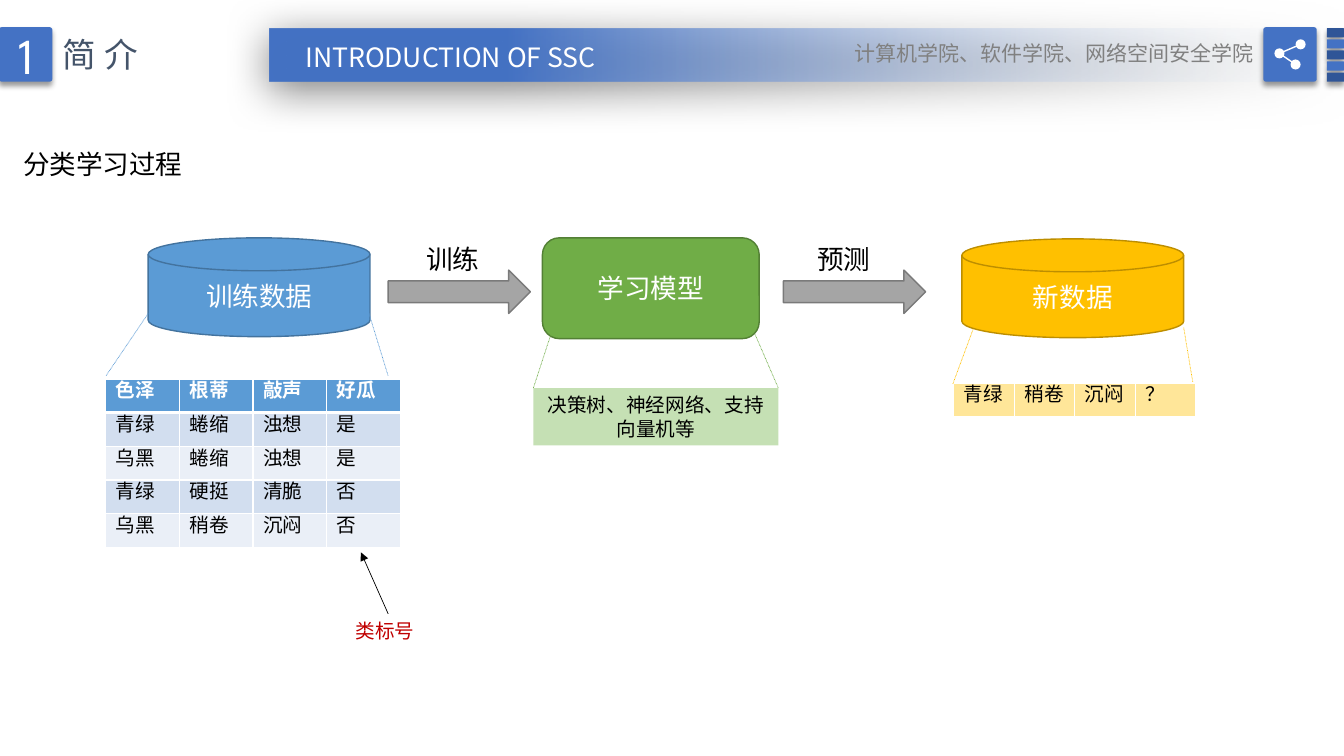
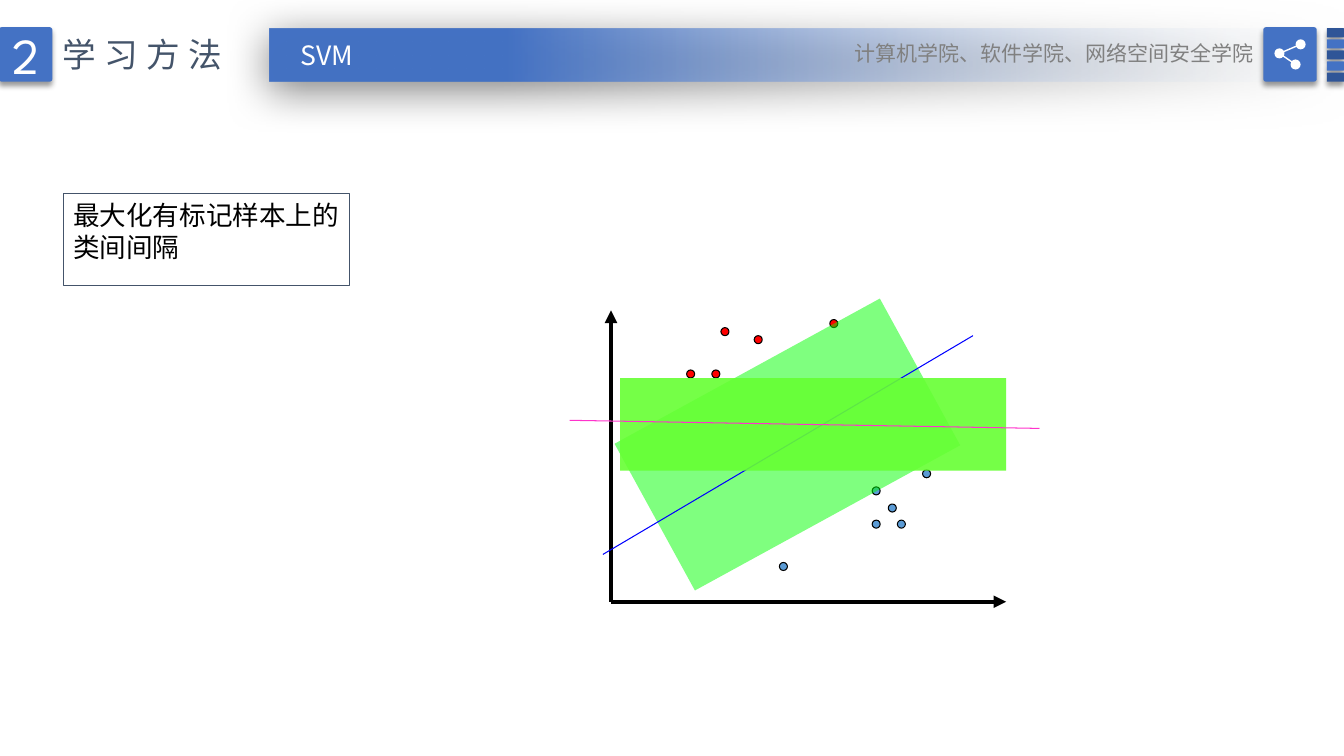
import dataclasses

import lxml.etree
import pptx
import pptx.dml.color
import pptx.enum.dml
import pptx.enum.shapes
import pptx.enum.text
import pptx.oxml.ns
import pptx.util

Inches = pptx.util.Inches
Pt = pptx.util.Pt
SHAPE = pptx.enum.shapes.MSO_SHAPE
ALIGN = pptx.enum.text.PP_ALIGN
ANCHOR = pptx.enum.text.MSO_ANCHOR
qn = pptx.oxml.ns.qn


@dataclasses.dataclass(frozen=True)
class Theme:
    """Colours, fonts and type sizes of the deck."""
    white: str = "FFFFFF"
    black: str = "000000"
    accent: str = "4472C4"
    accent_dark: str = "2F5597"
    band_end: str = "F7FAFD"
    slate: str = "44546A"
    grey: str = "808080"
    blue: str = "5B9BD5"
    blue_edge: str = "43739E"
    row_dark: str = "D2DEEF"
    row_light: str = "EAEFF7"
    green: str = "70AD47"
    green_edge: str = "538035"
    green_pale: str = "C5E0B4"
    gold: str = "FFC000"
    gold_edge: str = "BD8E00"
    gold_pale: str = "FFE699"
    arrow: str = "A5A5A5"
    arrow_edge: str = "7A7A7A"
    label: str = "C00000"
    red: str = "FF0000"
    tilted_margin: str = "00FF00"
    flat_margin: str = "66FF33"
    tilted_boundary: str = "0000FF"
    flat_boundary: str = "FF33CC"
    body_font: str = "League Spartan"
    head_font: str = "Noto Sans CJK SC"
    number: int = 36
    title: int = 24
    body: int = 19
    footer: int = 15
    small: int = 14


THEME = Theme()


def rgb(value):
    """Turn a hex string into a colour."""
    return pptx.dml.color.RGBColor.from_string(value)


def add_xml(parent, tag, **attributes):
    """Append a drawing element with attributes."""
    return lxml.etree.SubElement(parent, qn(tag), **attributes)


def write(frame, text, size, color, font=THEME.body_font, align=ALIGN.LEFT,
          bold=False, spacing=None):
    """Put one styled run into a text frame."""
    frame.word_wrap = True
    paragraph = frame.paragraphs[0]
    paragraph.alignment = align
    run = paragraph.add_run()
    run.text = text
    run.font.size = Pt(size)
    run.font.bold = bold
    run.font.color.rgb = rgb(color)
    run.font.name = font
    properties = run._r.get_or_add_rPr()
    add_xml(properties, "a:ea", typeface=font)
    if spacing:
        properties.set("spc", str(spacing * 100))


def add_text(slide, box, text, size, color, **style):
    """Add a text box."""
    text_box = slide.shapes.add_textbox(*map(Inches, box))
    write(text_box.text_frame, text, size, color, **style)
    return text_box


def add_shape(slide, kind, box, fill=None, edge=None, width=1):
    """Add a flat preset shape."""
    shape = slide.shapes.add_shape(kind, *map(Inches, box))
    shape.shadow.inherit = False
    if fill:
        shape.fill.solid()
        shape.fill.fore_color.rgb = rgb(fill)
    else:
        shape.fill.background()
    if edge:
        shape.line.color.rgb = rgb(edge)
        shape.line.width = Pt(width)
    else:
        shape.line.fill.background()
    return shape


def set_alpha(shape, percent):
    """Set the opacity of the first fill colour of a shape."""
    color = shape._element.spPr.find(".//" + qn("a:srgbClr"))
    add_xml(color, "a:alpha", val=str(percent * 1000))


def cast_shadow(shape, opacity, blur, distance, angle):
    """Give a shape an outer shadow."""
    effects = shape._element.spPr.find(qn("a:effectLst"))
    shadow = add_xml(effects, "a:outerShdw", blurRad=str(Pt(blur)), dist=str(Pt(distance)),
                     dir=str(angle * 60000), algn="ctr", rotWithShape="0")
    color = add_xml(shadow, "a:srgbClr", val=THEME.black)
    add_xml(color, "a:alpha", val=str(opacity * 1000))


def add_line(slide, start, end, color, width=0.5, dotted=False, arrow=False):
    """Add a straight line, dotted or with an arrowhead on request."""
    line = slide.shapes.add_connector(
        pptx.enum.shapes.MSO_CONNECTOR.STRAIGHT, *map(Inches, (*start, *end)))
    line.line.color.rgb = rgb(color)
    line.line.width = Pt(width)
    if dotted:
        line.line.dash_style = pptx.enum.dml.MSO_LINE.ROUND_DOT
    properties = line._element.spPr
    if arrow:
        add_xml(properties.find(qn("a:ln")), "a:tailEnd", type="triangle")
    add_xml(properties, "a:effectLst")
    return line


def add_tile(slide, box, fill):
    """Add a slightly rounded tile with a soft shadow."""
    tile = add_shape(slide, SHAPE.ROUNDED_RECTANGLE, box, fill)
    tile.adjustments[0] = 0.05
    cast_shadow(tile, 40, 4, 3, 90)
    return tile


def add_node(slide, kind, box, text, fill, edge):
    """Add a process node with a centred caption."""
    node = add_shape(slide, kind, box, fill, edge)
    node.text_frame.vertical_anchor = ANCHOR.MIDDLE
    write(node.text_frame, text, THEME.body, THEME.white, align=ALIGN.CENTER)


def add_dot(slide, left, top, size, fill, edge=None):
    """Add a small round dot."""
    add_shape(slide, SHAPE.OVAL, (left, top, size, size), fill, edge, 0.75)


def add_grid(slide, left, top, column, row_height, rows, fills, header=False):
    """Add a table with white rules and one fill per row."""
    columns = len(rows[0])
    table = slide.shapes.add_table(
        len(rows), columns, *map(Inches, (left, top, column * columns, row_height * len(rows)))).table
    table.first_row = header
    table.horz_banding = False
    for row_index, (values, fill) in enumerate(zip(rows, fills)):
        is_header = header and row_index == 0
        for column_index, value in enumerate(values):
            cell = table.cell(row_index, column_index)
            properties = cell._tc.get_or_add_tcPr()
            for side in "LRTB":
                heavy = (is_header and side == "B") or (header and row_index == 1 and side == "T")
                rule = add_xml(properties, "a:ln" + side, w=str(Pt(3 if heavy else 1)))
                add_xml(add_xml(rule, "a:solidFill"), "a:srgbClr", val=THEME.white)
            cell.fill.solid()
            cell.fill.fore_color.rgb = rgb(fill)
            write(cell.text_frame, value, THEME.small,
                  THEME.white if is_header else THEME.black, bold=is_header)


def add_share_icon(slide):
    """Draw three linked dots on a tile."""
    add_tile(slide, (12.53, 0.27, 0.53, 0.54), THEME.accent)
    hub, *ends = [(12.69, 0.53), (12.9, 0.44), (12.85, 0.64)]
    for end in ends:
        add_line(slide, hub, end, THEME.white, 1)
    for x, y in (hub, *ends):
        add_dot(slide, x - 0.05, y - 0.05, 0.1, THEME.white)


def add_header(slide, number, title, topic, topic_left, topic_top):
    """Draw the header that every slide shares."""
    band = add_shape(slide, SHAPE.RECTANGLE, (2.67, 0.28, 10.67, 0.53))
    band.fill.gradient()
    band.fill.gradient_angle = 180
    for stop, position, color in zip(band.fill.gradient_stops, (0, 0.78),
                                     (THEME.band_end, THEME.accent)):
        stop.position = position
        stop.color.rgb = rgb(color)
    set_alpha(band, 0)
    cast_shadow(band, 50, 31, 6, 97)

    badge = add_tile(slide, (-0.01, 0.27, 0.53, 0.54), THEME.accent)
    badge.text_frame.vertical_anchor = ANCHOR.MIDDLE
    write(badge.text_frame, number, THEME.number, THEME.white, align=ALIGN.CENTER)
    add_text(slide, (0.52, 0.29, 2.1, 0.5), title, THEME.title, THEME.slate,
             font=THEME.head_font, spacing=6)
    add_text(slide, (topic_left, topic_top, 4.45, 0.42), topic, THEME.body, THEME.white,
             font=THEME.head_font)
    for index in range(5):
        add_tile(slide, (13.16, 0.28 + 0.11 * index, 0.17, 0.09),
                 THEME.accent if index % 2 else THEME.accent_dark)
    add_share_icon(slide)
    add_text(slide, (8.2, 0.35, 4.33, 0.35), "计算机学院、软件学院、网络空间安全学院",
             THEME.footer, THEME.grey, font=THEME.head_font, align=ALIGN.RIGHT)


def build_introduction(slide):
    """Show the classification learning process."""
    add_header(slide, "1", "简介", "INTRODUCTION OF SSC", 2.93, 0.36)
    add_text(slide, (0.13, 1.42, 9.41, 0.42), "分类学习过程", THEME.body, THEME.black)

    add_node(slide, SHAPE.FLOWCHART_MAGNETIC_DISK, (1.47, 2.36, 2.2, 0.98), "训练数据",
             THEME.blue, THEME.blue_edge)
    add_node(slide, SHAPE.ROUNDED_RECTANGLE, (5.38, 2.36, 2.15, 1), "学习模型",
             THEME.green, THEME.green_edge)
    add_node(slide, SHAPE.FLOWCHART_MAGNETIC_DISK, (9.54, 2.37, 2.2, 0.98), "新数据",
             THEME.gold, THEME.gold_edge)
    for step, arrow_left, step_left in (("训练", 3.85, 4.13), ("预测", 7.77, 8.01)):
        add_shape(slide, SHAPE.RIGHT_ARROW, (arrow_left, 2.68, 1.41, 0.43),
                  THEME.arrow, THEME.arrow_edge)
        add_text(slide, (step_left, 2.36, 1, 0.42), step, THEME.body, THEME.black)

    samples = [("色泽", "根蒂", "敲声", "好瓜"),
               ("青绿", "蜷缩", "浊想", "是"),
               ("乌黑", "蜷缩", "浊想", "是"),
               ("青绿", "硬挺", "清脆", "否"),
               ("乌黑", "稍卷", "沉闷", "否")]
    add_grid(slide, 1.05, 3.76, 0.73, 0.33, samples,
             [THEME.blue] + [THEME.row_dark, THEME.row_light] * 2, header=True)
    models = add_shape(slide, SHAPE.RECTANGLE, (5.29, 3.85, 2.43, 0.57), THEME.green_pale)
    models.text_frame.vertical_anchor = ANCHOR.TOP
    write(models.text_frame, "决策树、神经网络、支持向量机等", THEME.small, THEME.black,
          align=ALIGN.CENTER)
    add_grid(slide, 9.46, 3.8, 0.6, 0.31, [("青绿", "稍卷", "沉闷", "？")], [THEME.gold_pale])

    for start, end, color in (((1.47, 3.11), (1.05, 3.73), THEME.blue),
                              ((3.66, 3.11), (3.85, 3.73), THEME.blue),
                              ((5.46, 3.33), (5.29, 3.85), THEME.green),
                              ((7.49, 3.32), (7.72, 3.85), THEME.green),
                              ((9.65, 3.27), (9.45, 3.81), THEME.gold),
                              ((11.74, 3.25), (11.83, 3.79), THEME.gold)):
        add_line(slide, start, end, color, dotted=True)

    class_label = add_text(slide, (3.43, 6.09, 0.84, 0.34), "类标号", THEME.small, THEME.label)
    pointer = add_line(slide, (3.85, 6.09), (3.58, 5.48), THEME.black, arrow=True)
    pointer.begin_connect(class_label, 0)


def build_svm(slide):
    """Show two candidate margins between labelled samples."""
    add_header(slide, "2", "学习方法", "SVM", 2.88, 0.34)
    goal = add_shape(slide, SHAPE.RECTANGLE, (0.63, 1.92, 2.84, 0.91), None, THEME.slate, 0.75)
    goal.text_frame.vertical_anchor = ANCHOR.TOP
    write(goal.text_frame, "最大化有标记样本上的类间间隔", THEME.body, THEME.black)

    for axis_end in ((6.06, 3.08), (9.98, 5.97)):
        add_line(slide, (6.06, 5.97), axis_end, THEME.black, 3, arrow=True)
    positives = [(7.48, 3.33), (7.15, 3.25), (8.23, 3.17), (7.06, 3.67), (6.81, 3.67)]
    negatives = [(7.73, 5.58), (9.15, 4.66), (8.65, 4.83), (8.9, 5.16), (8.65, 5.16), (8.81, 5)]
    for points, fill in ((positives, THEME.red), (negatives, THEME.blue)):
        for left, top in points:
            add_dot(slide, left, top, 0.08, fill, THEME.black)

    for box, angle, fill, opacity, start, end, color in (
            ((6.31, 3.58, 3, 1.66), 331.3, THEME.tilted_margin, 50,
             (5.98, 5.5), (9.65, 3.33), THEME.tilted_boundary),
            ((6.15, 3.75, 3.83, 0.92), 0, THEME.flat_margin, 90,
             (5.65, 4.17), (10.31, 4.25), THEME.flat_boundary)):
        margin = add_shape(slide, SHAPE.RECTANGLE, box, fill)
        margin.rotation = angle
        set_alpha(margin, opacity)
        add_line(slide, start, end, color, 0.75)


def main():
    """Build and save the deck."""
    deck = pptx.Presentation()
    deck.slide_width = Inches(13.33)
    deck.slide_height = Inches(7.5)
    for build in (build_introduction, build_svm):
        build(deck.slides.add_slide(deck.slide_layouts[6]))
    deck.save("out.pptx")


if __name__ == "__main__":
    main()
